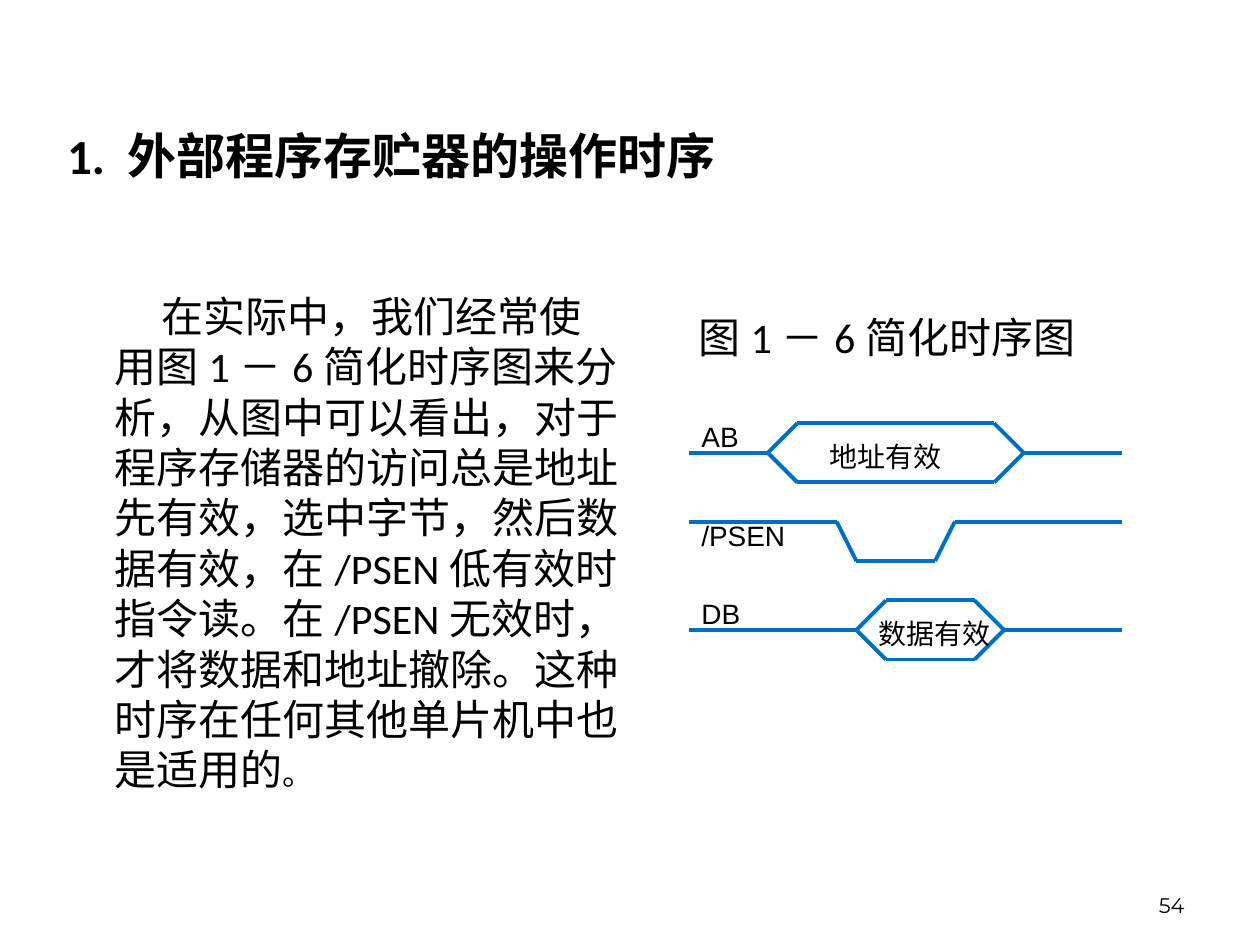
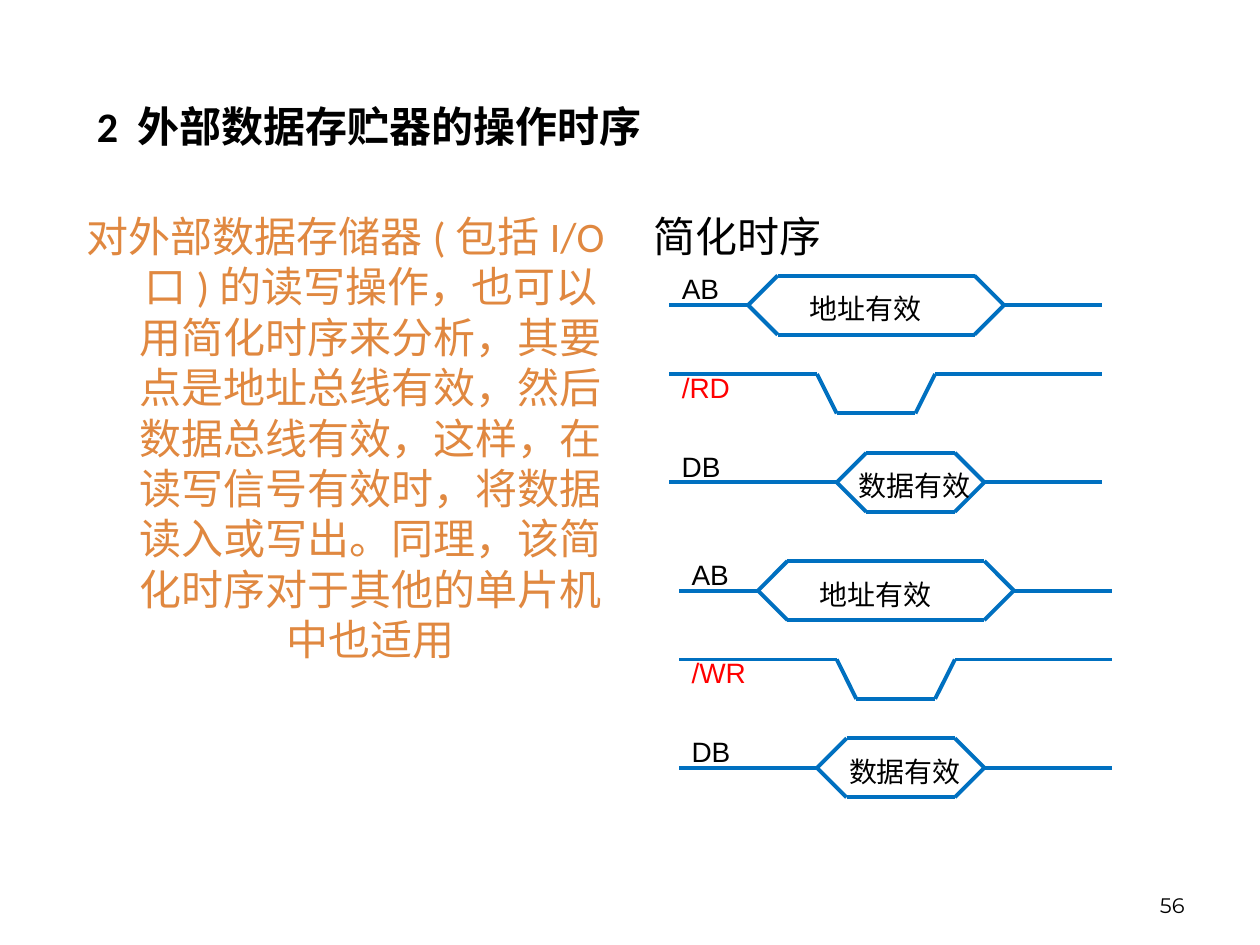
from itertools import pairwise

from pptx import Presentation
from pptx.dml.color import RGBColor
from pptx.enum.shapes import MSO_CONNECTOR
from pptx.enum.text import MSO_ANCHOR as ANCHOR, MSO_AUTO_SIZE, PP_ALIGN as ALIGN
from pptx.oxml.ns import qn
from pptx.util import Inches, Pt

BLACK = RGBColor(0, 0, 0)
RED = RGBColor(0xFF, 0, 0)
ORANGE = RGBColor(0xE0, 0x88, 0x40)
BLUE = RGBColor(0x00, 0x70, 0xC0)

prs = Presentation()
prs.slide_width, prs.slide_height = Inches(10), Inches(7.5)
U = prs.slide_width // 128

TITLE = {"name": "Calibri", "bold": True}
BODY = {"name": "Calibri", "size": Pt(24), "bold": False}
LABEL = {"name": "Arial", "size": Pt(16)}
NUMBER = {"name": "Montserrat", "size": Pt(12)}
NUMBER_BOX = (91.8, 87.5, 29.8, 6.4)


def write(sp, box, text, fonts, color=BLACK, anchor=ANCHOR.TOP, align=ALIGN.LEFT, indent=None):
    sp.left, sp.top, sp.width, sp.height = (int(v * U) for v in box)
    tf = sp.text_frame
    tf.word_wrap, tf.auto_size, tf.vertical_anchor = True, MSO_AUTO_SIZE.NONE, anchor
    p = tf.paragraphs[0]
    p.alignment = align
    if indent:
        pPr = p._p.get_or_add_pPr()
        for key, value in zip(("marL", "indent"), indent):
            pPr.set(key, str(Inches(value)))
        pPr.append(pPr.makeelement(qn("a:buNone"), {}))
    r = p.add_run()
    r.text = text
    for key, value in fonts.items():
        setattr(r.font, key, value)
    r.font.color.rgb = color
    return p


def trace(s, points):
    for (x1, y1), (x2, y2) in pairwise(points):
        ln = s.shapes.add_connector(MSO_CONNECTOR.STRAIGHT, x1 * U, y1 * U, x2 * U, y2 * U)
        ln.line.color.rgb, ln.line.width = BLUE, Pt(2.25)
        spPr = ln._element.spPr
        spPr.append(spPr.makeelement(qn("a:effectLst"), {}))


slides = [
    {
        "number": "54",
        "title": ("1. 外部程序存贮器的操作时序", (5.55, 11.75, 119.3, 8), Pt(28)),
        "body": ("在实际中，我们经常使用图1－6简化时序图来分析，从图中可以看出，对于程序存储器的访问总是地址先有效，"
                 "选中字节，然后数据有效，在/PSEN低有效时指令读。在/PSEN无效时，才将数据和地址撤除。"
                 "这种时序在任何其他单片机中也是适用的", (5.5, 28.85, 58.75, 59.8)),
        "format": {"indent": (0.38, 0.37)},
        "ending": "。",
        "caption": ("图1－6简化时序图", (64.05, 31, 58.75, 8), (0.38, 0.06)),
        "diagrams": [
            {"origin": (70, 46), "signal": "/PSEN", "width": 13, "color": BLACK,
             "pulse": (15, 27), "data": (17, 32), "value": (18, 18)},
        ],
    },
    {
        "number": "56",
        "title": ("2 外部数据存贮器的操作时序", (8.55, 8.75, 115.2, 8), Pt(24)),
        "body": ("对外部数据存储器(包括I/O口)的读写操作，也可以用简化时序来分析，其要点是地址总线有效，"
                 "然后数据总线有效，这样，在读写信号有效时，将数据读入或写出。"
                 "同理，该简化时序对于其他的单片机中也适用", (7.55, 20.75, 55.4, 63.5)),
        "format": {"color": ORANGE, "align": ALIGN.CENTER, "indent": (0.38, -0.38)},
        "ending": "",
        "caption": ("简化时序", (65.15, 20.75, 30.85, 6.25), (0.38, -0.38)),
        "diagrams": [
            {"origin": (68, 31), "signal": "/RD", "width": 8, "color": RED,
             "pulse": (15, 27), "data": (17, 32), "value": (18, 18)},
            {"origin": (69, 60), "signal": "/WR", "width": 13, "color": RED,
             "pulse": (16, 28), "data": (14, 31), "value": (16, 14)},
        ],
    },
]

for content in slides:
    s = prs.slides.add_slide(prs.slide_layouts[3])
    title, body, caption = s.placeholders

    text, box, size = content["title"]
    write(title, box, text, TITLE | {"size": size}, anchor=ANCHOR.MIDDLE)

    text, box = content["body"]
    p = write(body, box, text, BODY, **content["format"])
    if content["ending"]:
        r = p.add_run()
        r.text = content["ending"]
        r.font.name, r.font.size, r.font.color.rgb = "Calibri", Pt(18), BLACK

    text, box, indent = content["caption"]
    write(caption, box, text, BODY, indent=indent)

    for d in content["diagrams"]:
        x, y = d["origin"]
        end = x + 44

        for row, (left, right) in ((y, (8, 34)), (y + 18, d["data"])):
            a, b = x + left, x + right
            trace(s, [(x, row), (a, row)])
            for edge in (row - 3, row + 3):
                trace(s, [(a, row), (a + 3, edge), (b - 3, edge), (b, row)])
            trace(s, [(b, row), (end, row)])

        a, b = (x + v for v in d["pulse"])
        high, low = y + 7, y + 11
        trace(s, [(x, high), (a, high), (a + 2, low), (b - 2, low), (b, high), (end, high)])

        value_left, value_width = d["value"]
        labels = [
            ("地址有效", 13, -2, 18, BLACK),
            ("数据有效", value_left, 16, value_width, BLACK),
            ("AB", 0, -4, 7, BLACK),
            (d["signal"], 0, 6, d["width"], d["color"]),
            ("DB", 0, 14, 9, BLACK),
        ]
        for text, dx, dy, width, color in labels:
            sp = s.shapes.add_textbox(0, 0, U, U)
            write(sp, (x + dx, y + dy, width, 4.75), text, LABEL, color)

    sp = s.shapes.add_textbox(0, 0, U, U)
    write(sp, NUMBER_BOX, content["number"], NUMBER, anchor=ANCHOR.BOTTOM, align=ALIGN.RIGHT)

prs.save("out.pptx")
